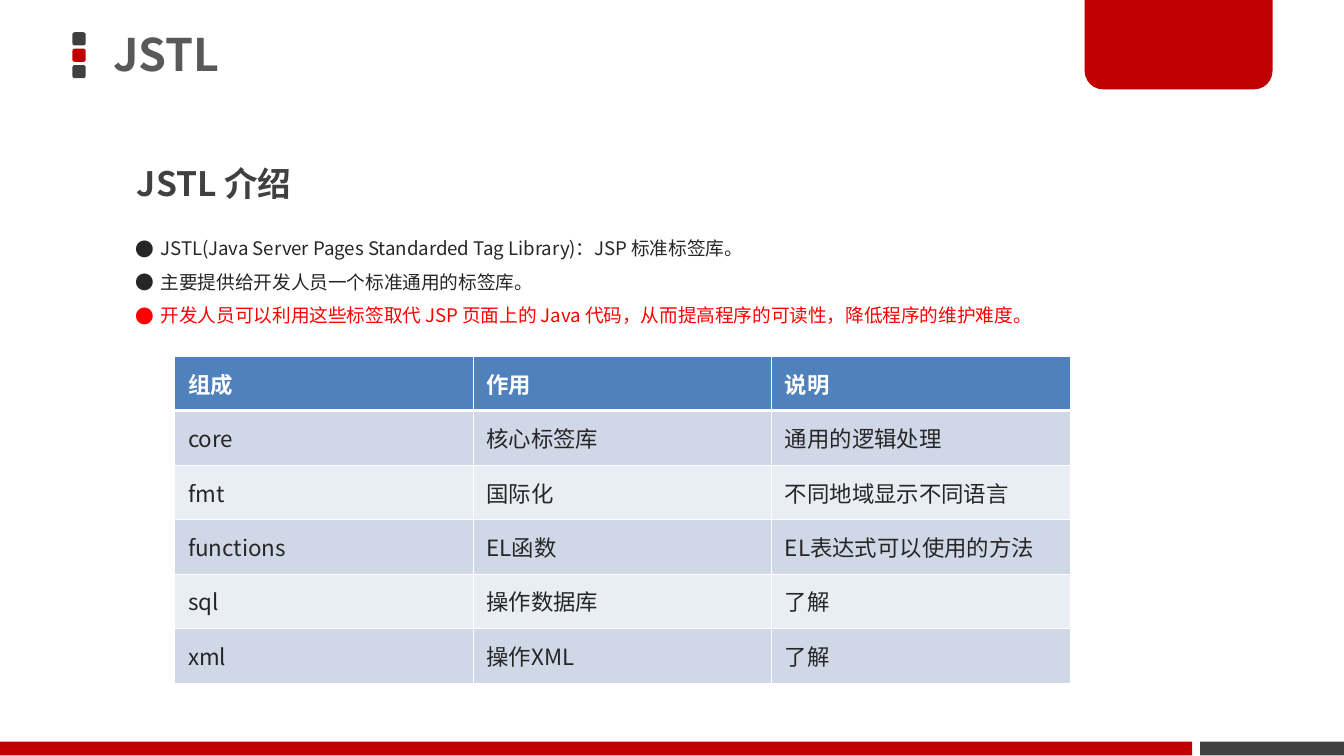
from typing import NamedTuple

from lxml import etree
from pptx import Presentation
from pptx import util as u
from pptx.dml.color import RGBColor
from pptx.enum import shapes, text
from pptx.oxml.ns import qn

FONT = "Noto Sans CJK SC"
RED, DARK, INK, WHITE = "C00000", "404040", "262626", "FFFFFF"
KIND = shapes.MSO_SHAPE
MID = text.MSO_ANCHOR.MIDDLE


class Box(NamedTuple):
    left: float
    top: float
    width: float
    height: float

    def cm(self) -> list:
        return [u.Cm(n) for n in self]


class Block(NamedTuple):
    kind: int
    box: Box
    fill: str
    bends: tuple = ()


class Style(NamedTuple):
    size: float
    tint: str
    bold: bool = False
    lead: float = 1.0


class Point(NamedTuple):
    words: str
    tint: str = INK


def hue(code: str) -> RGBColor:
    return RGBColor.from_string(code)


def node(base, tag: str, **attrs: str):
    return etree.SubElement(base, qn(tag), attrs)


def draw(slide, block: Block) -> None:
    shape = slide.shapes.add_shape(block.kind, *block.box.cm())
    shape.shadow.inherit = False
    shape.fill.solid()
    shape.fill.fore_color.rgb = hue(block.fill)
    shape.line.fill.background()
    for spot, bend in enumerate(block.bends):
        shape.adjustments[spot] = bend


def write(para, words: str, style: Style) -> None:
    para.text = words
    para.line_spacing = style.lead
    font = para.font
    font.name, font.size, font.bold = FONT, u.Pt(style.size), style.bold
    font.color.rgb = hue(style.tint)
    node(para._p.pPr.find(qn("a:defRPr")), "a:ea", typeface=FONT)


def frame(slide, box: Box):
    body = slide.shapes.add_textbox(*box.cm()).text_frame
    body.word_wrap = True
    return body


def bullet(para, point: Point) -> None:
    para.level = 1
    props = para._p.get_or_add_pPr()
    props.set("marL", str(u.Cm(0.48)))
    props.set("indent", str(-u.Cm(0.48)))
    node(node(props, "a:buClr"), "a:srgbClr", val=point.tint)
    node(props, "a:buFont", typeface=FONT)
    node(props, "a:buChar", char="●")
    write(para, point.words, Style(10, point.tint, lead=1.5))


def edge(cell, side: str, width: float) -> None:
    line = node(cell._tc.get_or_add_tcPr(), f"a:ln{side}", w=str(u.Pt(width)))
    node(node(line, "a:solidFill"), "a:srgbClr", val=WHITE)


def grid(slide, box: Box, rows: list) -> None:
    table = slide.shapes.add_table(len(rows), len(rows[0]), *box.cm()).table
    for r, row in enumerate(rows):
        head = r == 0
        fill = "4F81BD" if head else ("E9EDF4", "D0D8E8")[r % 2]
        style = Style(12, WHITE if head else INK, head)
        for c, words in enumerate(row):
            cell = table.cell(r, c)
            edge(cell, "L", 0.45)
            edge(cell, "R", 0.45)
            edge(cell, "T", 1.47 if r == 1 else 0.45)
            edge(cell, "B", 1.47 if head else 0.45)
            cell.fill.solid()
            cell.fill.fore_color.rgb = hue(fill)
            cell.vertical_anchor = MID
            write(cell.text_frame.paragraphs[0], words, style)


BLOCKS = [
    Block(KIND.ROUNDED_RECTANGLE, Box(1.37, 0.61 + 0.31 * i, 0.25, 0.25), tint, (0.17,))
    for i, tint in enumerate((DARK, RED, DARK))
] + [
    Block(KIND.RECTANGLE, Box(22.68, 14.02, 2.72, 0.26), DARK),
    Block(KIND.ROUND_2_SAME_RECTANGLE, Box(20.5, -0.05, 3.55, 1.74), RED, (0, 0.2)),
    Block(KIND.RECTANGLE, Box(0, 14.02, 22.53, 0.26), RED),
]

POINTS = [
    Point("JSTL(Java Server Pages Standarded Tag Library)：JSP 标准标签库。"),
    Point("主要提供给开发人员一个标准通用的标签库。"),
    Point(
        "开发人员可以利用这些标签取代 JSP 页面上的 Java 代码，"
        "从而提高程序的可读性，降低程序的维护难度。",
        "FF0000",
    ),
]

ROWS = [
    ("组成", "作用", "说明"),
    ("core", "核心标签库", "通用的逻辑处理"),
    ("fmt", "国际化", "不同地域显示不同语言"),
    ("functions", "EL函数", "EL表达式可以使用的方法"),
    ("sql", "操作数据库", "了解"),
    ("xml", "操作XML", "了解"),
]


def main() -> None:
    deck = Presentation()
    deck.slide_width, deck.slide_height = u.Cm(25.4), u.Cm(14.29)
    slide = deck.slides.add_slide(deck.slide_layouts[6])
    for block in BLOCKS:
        draw(slide, block)

    title = frame(slide, Box(1.75, -0.05, 14.96, 2.26))
    title.vertical_anchor = MID
    title.margin_left = u.Cm(0.39)
    write(title.paragraphs[0], "JSTL", Style(24, "595959", True, 0.9))

    topic = frame(slide, Box(2.34, 2.57, 9.75, 1.4))
    write(topic.paragraphs[0], "JSTL 介绍", Style(18, DARK, True, 1.5))

    body = frame(slide, Box(2.31, 4.14, 18.59, 2.16))
    for i, point in enumerate(POINTS):
        bullet(body.add_paragraph() if i else body.paragraphs[0], point)

    grid(slide, Box(3.3, 6.73, 16.92, 6.18), ROWS)
    deck.save("out.pptx")


if __name__ == "__main__":
    main()
